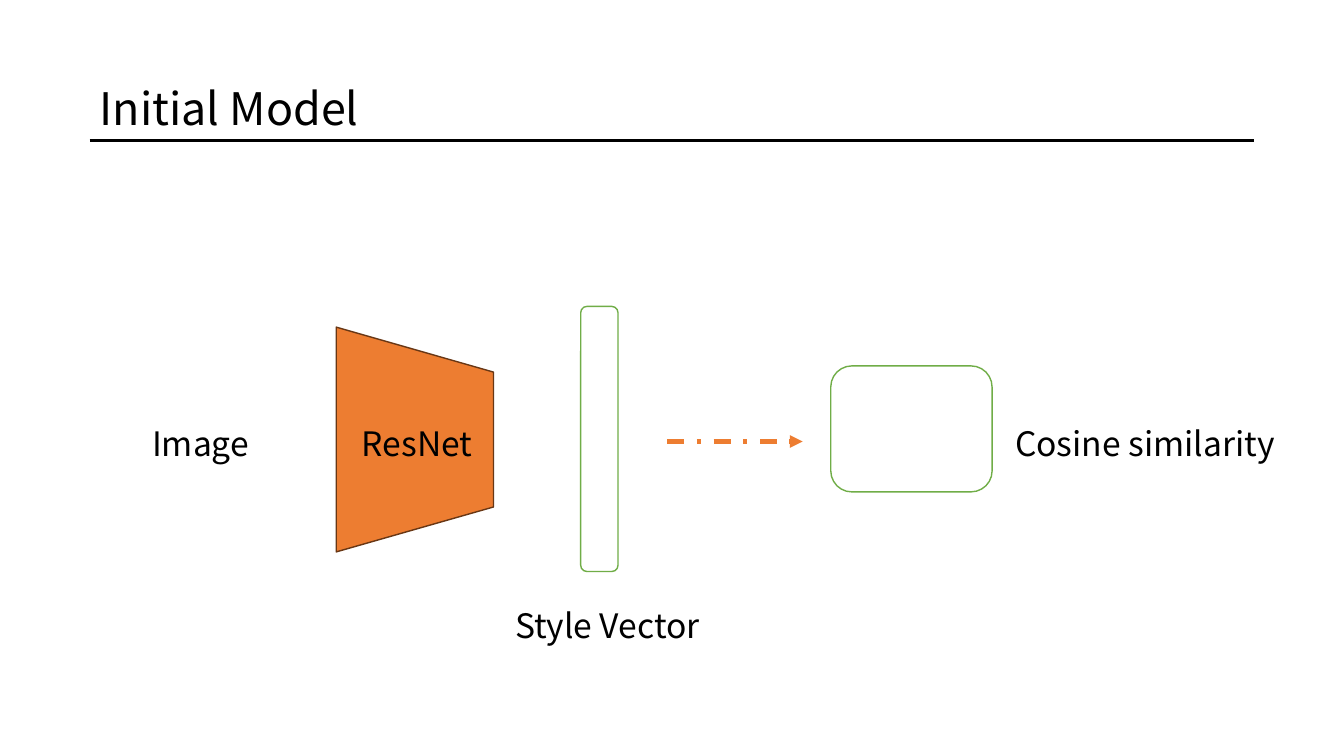
from lxml.etree import SubElement
from pptx import Presentation
from pptx.dml.color import RGBColor
from pptx.enum.dml import MSO_LINE as Dash
from pptx.enum.shapes import MSO_CONNECTOR as Conn, MSO_SHAPE as Geo
from pptx.enum.text import MSO_ANCHOR as Anchor
from pptx.oxml.ns import qn
from pptx.util import Pt

PX = 9144  # 100 px to the inch
FONT = "Noto Sans CJK KR"
BLACK, WHITE, GREEN, ORANGE, BROWN = "000000", "FFFFFF", "70AD47", "ED7D31", "683715"

# Content: words with left, top, width, height in px
TITLE = ("Initial Model", (89, 43, 1032, 96))
LABELS = [
    ("ResNet", (349, 395, 176, 63)),
    ("Image", (141, 395, 176, 63)),
    ("Style Vector", (501, 575, 223, 63)),
    ("Cosine similarity", (997, 395, 309, 63)),
]
# Kind, box, turn, fill, line
SHAPES = [
    (Geo.FLOWCHART_MANUAL_OPERATION, (300, 358, 223, 156), 270, ORANGE, BROWN),
    (Geo.ROUNDED_RECTANGLE, (576, 304, 37, 263), 0, WHITE, GREEN),
    (Geo.ROUNDED_RECTANGLE, (824, 363, 160, 125), 0, WHITE, GREEN),
]
RULE = (89, 139, 1244, 139)
ARROW = (662, 438, 796, 438)


def emu(box):
    return [n * PX for n in box]


def color(code):
    return RGBColor.from_string(code)


def add_text(words, box, size, space, anchor=Anchor.TOP):
    frame = slide.shapes.add_textbox(*emu(box)).text_frame
    frame.word_wrap = True
    frame.vertical_anchor = anchor
    par = frame.paragraphs[0]
    par.line_spacing = space
    run = par.add_run()
    run.text = words
    run.font.name, run.font.size = FONT, Pt(size)
    run.font.color.rgb = color(BLACK)


def add_shape(kind, box, turn, fill, edge):
    shape = slide.shapes.add_shape(kind, *emu(box))
    shape.shadow.inherit = False
    shape.rotation = turn
    shape.fill.solid()
    shape.fill.fore_color.rgb = color(fill)
    shape.line.color.rgb = color(edge)
    shape.line.width = Pt(1)


def add_line(ends, tint, width):
    link = slide.shapes.add_connector(Conn.STRAIGHT, *emu(ends))
    link.line.color.rgb = color(tint)
    link.line.width = Pt(width)
    SubElement(link._element.spPr, qn("a:effectLst"))
    return link.line


deck = Presentation()
deck.slide_width, deck.slide_height = emu((1333, 750))
slide = deck.slides.add_slide(deck.slide_layouts[6])

# Heading
add_line(RULE, BLACK, 2.25)
add_text(*TITLE, 32, 0.9, Anchor.BOTTOM)

# Model parts, then their labels
for part in SHAPES:
    add_shape(*part)
for words, box in LABELS:
    add_text(words, box, 24, 1.5)

# Arrow from style vector to similarity
arrow = add_line(ARROW, ORANGE, 3)
arrow.dash_style = Dash.DASH_DOT
SubElement(arrow._get_or_add_ln(), qn("a:tailEnd"), type="triangle")

deck.save("out.pptx")
